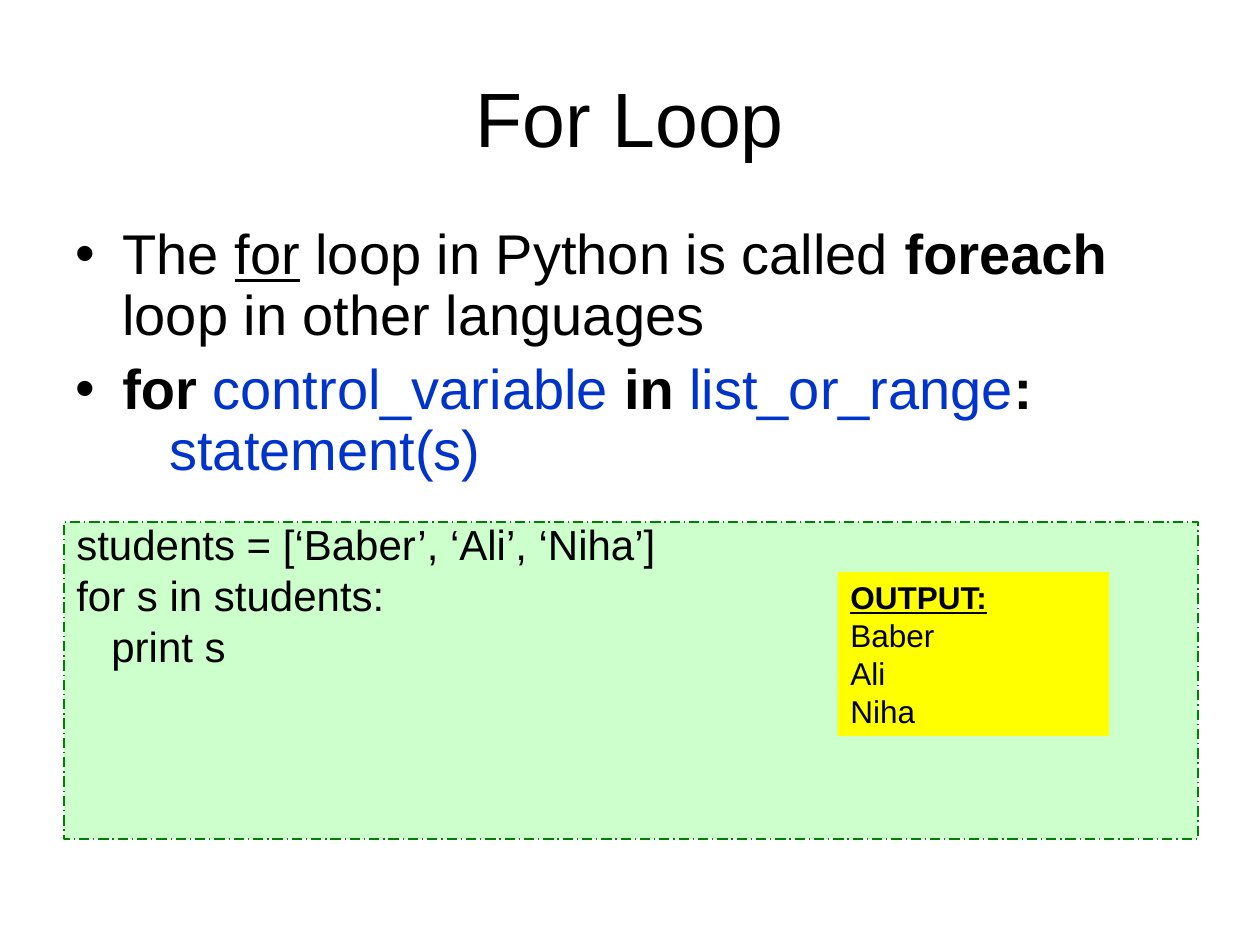
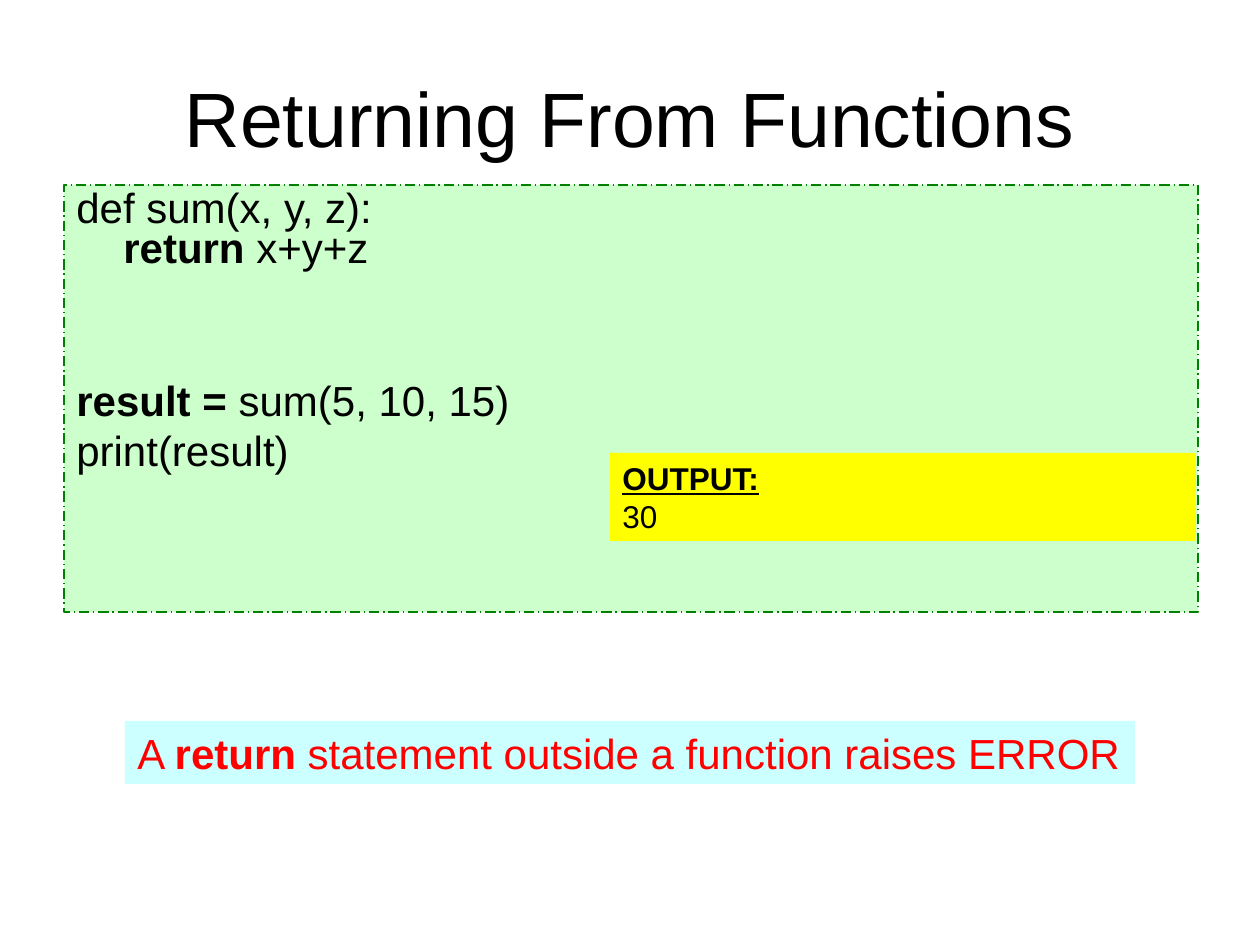
from dataclasses import dataclass

from lxml.etree import SubElement
from pptx import Presentation
from pptx.dml.color import RGBColor
from pptx.enum.dml import MSO_LINE
from pptx.enum.shapes import MSO_SHAPE
from pptx.enum.text import MSO_ANCHOR, MSO_AUTO_SIZE, PP_ALIGN
from pptx.oxml.ns import qn
from pptx.util import Emu, Pt

PX_PER_INCH = 126
TITLE_ONLY = 5


@dataclass(frozen=True)
class Theme:
    font: str = "Arial"
    ink: str = "000000"
    variable: str = "0033CC"
    warning: str = "FF0000"
    code_fill: str = "CCFFCC"
    code_line: str = "008000"
    output_fill: str = "FFFF00"
    note_fill: str = "CCFFFF"
    title_size: int = 44
    body_size: int = 32
    code_size: int = 24
    output_size: int = 18


THEME = Theme()


@dataclass(frozen=True)
class TextStyle:
    size: int
    color: str = THEME.ink
    line_spacing: float = 1.0
    space_before: int = 0


BODY = TextStyle(THEME.body_size, line_spacing=0.9, space_before=8)
CODE = TextStyle(THEME.code_size, line_spacing=0.8, space_before=6)
OUTPUT = TextStyle(THEME.output_size)
NOTE = TextStyle(THEME.code_size, color=THEME.warning)

# Boxes are (left, top, width, height) in px.
TITLE_BOX = (63, 38, 1134, 157)
HANG = 47
BOLD = {"bold": True}
VARIABLE = {"color": THEME.variable}
OUTPUT_HEAD = {"runs": [("OUTPUT:", {"bold": True, "underline": True})]}


def plain(text, **layout):
    return {"runs": [(text, {})], **layout}


SLIDES = [
    {
        "title": "For Loop",
        "body_box": (63, 220, 1134, 291),
        "body": [
            {"bullet": True, "runs": [
                ("The ", {}), ("for", {"underline": True}),
                (" loop in Python is called ", {}), ("foreach", BOLD),
                (" loop in other languages", {})]},
            {"bullet": True, "runs": [
                ("for ", BOLD), ("control_variable ", VARIABLE), ("in ", BOLD),
                ("list_or_range", VARIABLE), (":", BOLD)]},
            {"margin": 2 * HANG, "before": 0, "runs": [("statement(s)", VARIABLE)]},
        ],
        "code_box": (64, 522, 1134, 317),
        "code": [
            plain("students = [‘Baber’, ‘Ali’, ‘Niha’]"),
            plain("for s in students:"),
            plain("print s", margin=35),
        ],
        "output_box": (838, 572, 271, 164),
        "output": [OUTPUT_HEAD, plain("Baber"), plain("Ali"), plain("Niha")],
    },
    {
        "title": "Returning From Functions",
        "code_box": (64, 185, 1134, 427),
        "code": [
            plain("def sum(x, y, z):"),
            {"margin": HANG, "before": 0, "runs": [("return", BOLD), (" x+y+z", {})]},
            {"before": 64, "runs": [("result =", BOLD), (" sum(5, 10, 15)", {})]},
            plain("print(result)"),
        ],
        "output_box": (610, 453, 586, 88),
        "output": [OUTPUT_HEAD, plain("30")],
        "note_box": (125, 721, 1010, 63),
        "note": [{"runs": [
            ("A ", {}), ("return", BOLD),
            (" statement outside a function raises ERROR", {})]}],
    },
]


def px(length):
    return Emu(round(length * 914400 / PX_PER_INCH))


def emu_box(box):
    return [px(length) for length in box]


def add_run(paragraph, text, size, color, bold=False, underline=False):
    run = paragraph.add_run()
    run.text = text
    font = run.font
    font.name, font.size = THEME.font, Pt(size)
    font.bold, font.underline = bold, underline
    font.color.rgb = RGBColor.from_string(color)


def indent(paragraph, margin, bullet):
    properties = paragraph._p.get_or_add_pPr()
    properties.set("marL", str(px(margin)))
    properties.set("indent", str(px(-HANG if bullet else 0)))
    if bullet:
        SubElement(properties, qn("a:buFont"), typeface=THEME.font)
        SubElement(properties, qn("a:buChar"), char="•")


def write(frame, paragraphs, style):
    for index, content in enumerate(paragraphs):
        paragraph = frame.paragraphs[0] if index == 0 else frame.add_paragraph()
        paragraph.alignment = PP_ALIGN.LEFT
        paragraph.line_spacing = style.line_spacing
        paragraph.space_before = Pt(content.get("before", style.space_before))
        bullet = content.get("bullet", False)
        indent(paragraph, content.get("margin", HANG if bullet else 0), bullet)
        for text, look in content["runs"]:
            add_run(paragraph, text, style.size, **{"color": style.color, **look})


def add_title(slide, text):
    title = slide.shapes.title
    title.left, title.top, title.width, title.height = emu_box(TITLE_BOX)
    frame = title.text_frame
    frame.vertical_anchor = MSO_ANCHOR.MIDDLE
    frame.auto_size = MSO_AUTO_SIZE.NONE
    paragraph = frame.paragraphs[0]
    paragraph.alignment = PP_ALIGN.CENTER
    add_run(paragraph, text, THEME.title_size, THEME.ink)


def add_body(slide, box, paragraphs):
    frame = slide.shapes.add_textbox(*emu_box(box)).text_frame
    frame.word_wrap = True
    write(frame, paragraphs, BODY)


def add_panel(slide, box, paragraphs, style, fill, line=None, wrap=True):
    """Add a filled rectangle; one without an outline fits its text."""
    panel = slide.shapes.add_shape(MSO_SHAPE.RECTANGLE, *emu_box(box))
    panel.shadow.inherit = False
    panel.fill.solid()
    panel.fill.fore_color.rgb = RGBColor.from_string(fill)
    frame = panel.text_frame
    frame.word_wrap = wrap
    frame.vertical_anchor = MSO_ANCHOR.TOP
    if line:
        panel.line.color.rgb = RGBColor.from_string(line)
        panel.line.width = Pt(0.75)
        panel.line.dash_style = MSO_LINE.LONG_DASH_DOT
    else:
        panel.line.fill.background()
        frame.auto_size = MSO_AUTO_SIZE.SHAPE_TO_FIT_TEXT
    write(frame, paragraphs, style)


def build_slide(presentation, content):
    slide = presentation.slides.add_slide(presentation.slide_layouts[TITLE_ONLY])
    add_title(slide, content["title"])
    if "body" in content:
        add_body(slide, content["body_box"], content["body"])
    add_panel(slide, content["code_box"], content["code"], CODE,
              THEME.code_fill, line=THEME.code_line)
    add_panel(slide, content["output_box"], content["output"], OUTPUT, THEME.output_fill)
    if "note" in content:
        add_panel(slide, content["note_box"], content["note"], NOTE,
                  THEME.note_fill, wrap=False)


def main():
    presentation = Presentation()
    presentation.slide_width, presentation.slide_height = px(1260), px(945)
    for content in SLIDES:
        build_slide(presentation, content)
    presentation.save("out.pptx")


if __name__ == "__main__":
    main()
